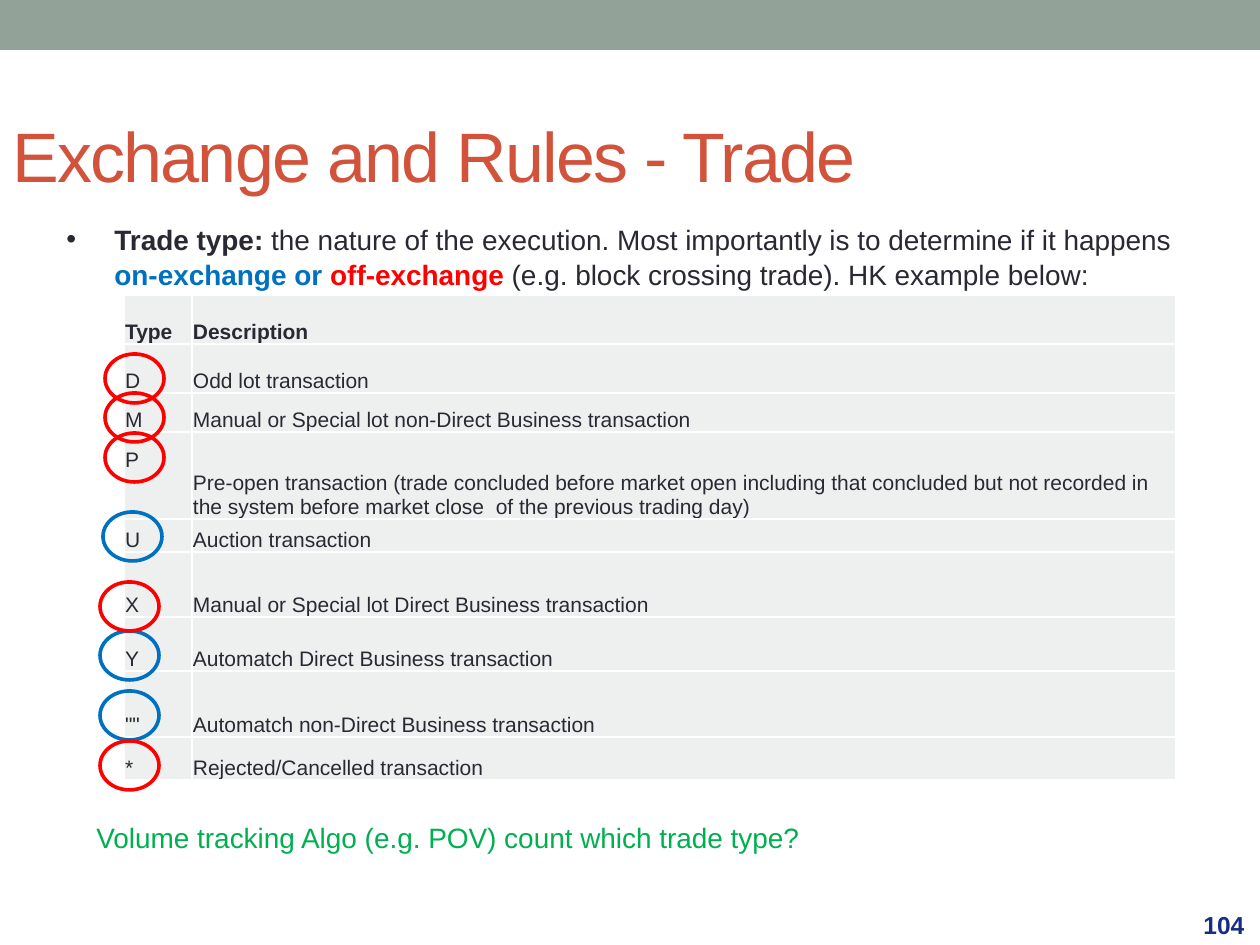
from lxml import etree
from pptx import Presentation
from pptx.dml.color import RGBColor
from pptx.enum.shapes import MSO_SHAPE
from pptx.enum.text import MSO_ANCHOR, PP_ALIGN
from pptx.oxml.ns import qn
from pptx.util import Emu, Pt

PX = 7257  # EMU in one px, at 126 px to the inch
RECTANGLE, ELLIPSE = MSO_SHAPE.RECTANGLE, MSO_SHAPE.OVAL
TOP, MIDDLE, BOTTOM = MSO_ANCHOR.TOP, MSO_ANCHOR.MIDDLE, MSO_ANCHOR.BOTTOM
LEFT, CENTER = PP_ALIGN.LEFT, PP_ALIGN.CENTER


class Theme:
    font = "Arial"
    title_size, body_size, number_size, table_size = 40, 16, 14, 12
    ring_width, border_width = 2.08, 1
    band = RGBColor.from_string("93A299")
    title = RGBColor.from_string("D2533C")
    text = RGBColor.from_string("292934")
    number = RGBColor.from_string("152E82")
    cell = RGBColor.from_string("EEF0EF")
    on_exchange = RGBColor.from_string("0070C0")
    off_exchange = RGBColor.from_string("FF0000")
    question = RGBColor.from_string("00B050")


def box(left, top, width, height):
    return [Emu(value * PX) for value in (left, top, width, height)]


def write(frame, runs, size, anchor=TOP, align=LEFT):
    """Fill a text frame with one paragraph of (text, colour, bold) runs."""
    frame.word_wrap = True
    frame.vertical_anchor = anchor
    paragraph = frame.paragraphs[0]
    paragraph.alignment = align
    for text, color, bold in runs:
        run = paragraph.add_run()
        run.text = text
        run.font.name = Theme.font
        run.font.size = Pt(size)
        run.font.bold = bold
        run.font.color.rgb = color
    return paragraph


presentation = Presentation()
presentation.slide_width, presentation.slide_height = Emu(1260 * PX), Emu(945 * PX)
slide = presentation.slides.add_slide(presentation.slide_layouts[6])
shapes = slide.shapes

band = shapes.add_shape(RECTANGLE, *box(0, 0, 1260, 50))
band.shadow.inherit = False
band.fill.solid()
band.fill.fore_color.rgb = Theme.band
band.line.fill.background()

number_box = shapes.add_textbox(*box(1189, 900, 70, 49))
write(number_box.text_frame, [("104", Theme.number, True)],
      Theme.number_size, MIDDLE, CENTER)

title_box = shapes.add_textbox(*box(0, 86, 1113, 137))
title = write(title_box.text_frame, [("Exchange and Rules - Trade", Theme.title, False)],
              Theme.title_size, MIDDLE)
title.runs[0].font._element.set("spc", "-100")

body_box = shapes.add_textbox(*box(54, 214, 1171, 79))
body = write(body_box.text_frame, [
    ("Trade type: ", Theme.text, True),
    ("the nature of the execution. Most importantly is to determine if it happens ",
     Theme.text, False),
    ("on-exchange or ", Theme.on_exchange, True),
    ("off-exchange ", Theme.off_exchange, True),
    ("(e.g. block crossing trade). HK example below:", Theme.text, False),
], Theme.body_size)
body.line_spacing = 1.06
properties = body._p.get_or_add_pPr()
properties.set("marL", str(48 * PX))
properties.set("indent", str(-48 * PX))
etree.SubElement(properties, qn("a:buFont"), typeface=Theme.font)
etree.SubElement(properties, qn("a:buChar"), char="•")

trade_types = [
    ("Type", "Description", 49),
    ("D", "Odd lot transaction", 49),
    ("M", "Manual or Special lot non-Direct Business transaction", 39),
    ("P", "Pre-open transaction (trade concluded before market open including that "
     "concluded but not recorded in the system before market close  of the previous "
     "trading day)", 87),
    ("U", "Auction transaction", 33),
    ("X", "Manual or Special lot Direct Business transaction", 65),
    ("Y", "Automatch Direct Business transaction", 54),
    ('""', "Automatch non-Direct Business transaction", 66),
    ("*", "Rejected/Cancelled transaction", 43),
]
table = shapes.add_table(len(trade_types), 2, *box(124, 295, 1052, 485)).table
table.horz_banding = False
table.columns[0].width, table.columns[1].width = Emu(68 * PX), Emu(984 * PX)
for row, (code, description, height) in enumerate(trade_types):
    table.rows[row].height = Emu(height * PX)
    for column, text in enumerate((code, description)):
        cell = table.cell(row, column)
        write(cell.text_frame, [(text, Theme.text, row == 0)], Theme.table_size)
        cell.vertical_anchor = BOTTOM
        cell.margin_left = cell.margin_right = cell.margin_top = Emu(PX)
        # The P sits level with the first line of its row
        cell.margin_bottom = Emu(47 * PX if text == "P" else 0)
        cell_properties = cell._tc.get_or_add_tcPr()
        for side in ("lnL", "lnR", "lnT", "lnB"):
            border = etree.SubElement(cell_properties, qn(f"a:{side}"),
                                      w=str(Pt(Theme.border_width)))
            fill = etree.SubElement(border, qn("a:solidFill"))
            etree.SubElement(fill, qn("a:srgbClr"), val="FFFFFF")
        cell.fill.solid()
        cell.fill.fore_color.rgb = Theme.cell

question_box = shapes.add_textbox(*box(84, 814, 838, 47))
write(question_box.text_frame,
      [("Volume tracking Algo (e.g. POV) count which trade type?", Theme.question, False)],
      Theme.body_size)

rings = [
    (105, 354, Theme.off_exchange), (105, 393, Theme.off_exchange),
    (105, 433, Theme.off_exchange), (103, 512, Theme.on_exchange),
    (100, 631, Theme.on_exchange), (100, 691, Theme.on_exchange),
    (100, 582, Theme.off_exchange), (100, 741, Theme.off_exchange),
]
for left, top, color in rings:
    ring = shapes.add_shape(ELLIPSE, *box(left, top, 59, 49))
    ring.shadow.inherit = False
    ring.fill.background()
    ring.line.color.rgb = color
    ring.line.width = Pt(Theme.ring_width)

presentation.save("out.pptx")
